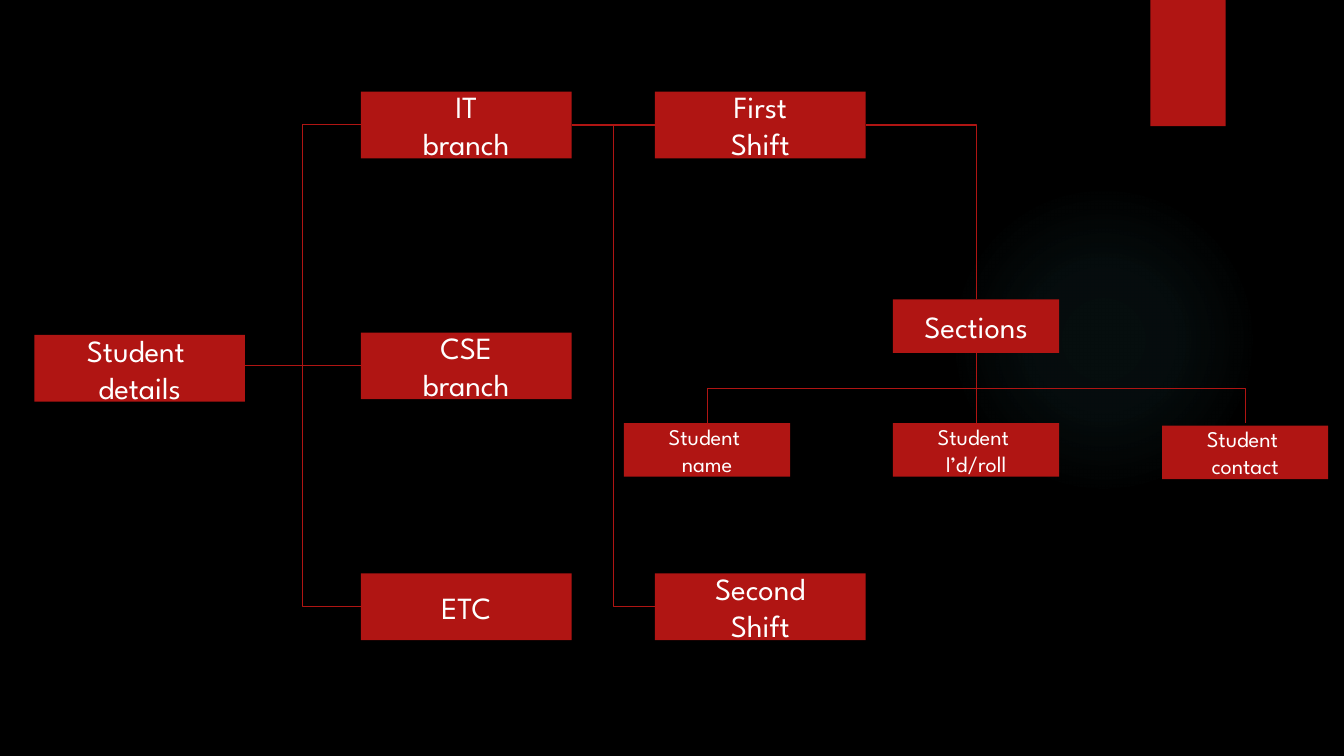
import pptx
import pptx.util
import pptx.dml.color
import pptx.enum.shapes
import pptx.enum.text
import pptx.oxml
import pptx.oxml.ns

Cm = pptx.util.Cm
Shapes = pptx.enum.shapes.MSO_SHAPE
Joint = pptx.enum.shapes.MSO_CONNECTOR

# Theme
THEME = {
    "ground": "000000", "red": "B01513", "text": "FFFFFF", "glow": "50B9C1",
    "font": "League Spartan", "large": 22, "small": 16, "line": 0.75,
}

# Content: box sizes, and centres of columns and rows, in cm
BRANCH_SIZE, FIELD_SIZE = (5.31, 1.68), (4.19, 1.35)
ROOT_X, BRANCH_X, SHIFT_X, SECTION_X = 3.52, 11.75, 19.16, 24.6
TOP_Y, MIDDLE_Y, BOTTOM_Y = 3.15, 9.22, 15.29
SECTION_Y, FIELD_Y, FIELD_PITCH = 8.22, 11.34, 6.78

BOXES = {  # name: (lines, centre, size, type size)
    "root": (["Student ", "details"], (ROOT_X, 9.28), BRANCH_SIZE, "large"),
    "it": (["IT", "branch"], (BRANCH_X, TOP_Y), BRANCH_SIZE, "large"),
    "cse": (["CSE", "branch"], (BRANCH_X, MIDDLE_Y), BRANCH_SIZE, "large"),
    "etc": (["ETC"], (BRANCH_X, BOTTOM_Y), BRANCH_SIZE, "large"),
    "first": (["First", "Shift"], (SHIFT_X, TOP_Y), BRANCH_SIZE, "large"),
    "second": (["Second", "Shift"], (SHIFT_X, BOTTOM_Y), BRANCH_SIZE, "large"),
    "sections": (["Sections"], (SECTION_X, SECTION_Y), FIELD_SIZE, "large"),
    "name": (["Student ", "name"], (SECTION_X - FIELD_PITCH, FIELD_Y), FIELD_SIZE, "small"),
    "roll": (["Student ", "I’d/roll"], (SECTION_X, FIELD_Y), FIELD_SIZE, "small"),
    "contact": (["Student ", "contact"], (SECTION_X + FIELD_PITCH, FIELD_Y + 0.06),
                FIELD_SIZE, "small"),
}
ACROSS = [("root", "it"), ("root", "etc"), ("root", "cse"), ("it", "second"), ("it", "first")]
DOWN = ["name", "contact", "roll"]
GLOW_STOPS = [(0, 7), (36, 6), (69, 0)]  # position and opacity in percent


def colour(key):
    return pptx.dml.color.RGBColor.from_string(THEME[key])


def apply(target, values):
    for key, value in values.items():
        setattr(target, key, value)


def add_block(kind, left, top, width, height):
    block = page.shapes.add_shape(kind, Cm(left), Cm(top), Cm(width), Cm(height))
    block.shadow.inherit = False
    block.line.fill.background()
    block.fill.solid()
    block.fill.fore_color.rgb = colour("red")
    return block


def add_box(lines, centre, size, type_size):
    (x, y), (width, height) = centre, size
    box = add_block(Shapes.RECTANGLE, x - width / 2, y - height / 2, width, height)
    apply(box.text_frame, {"word_wrap": True,
                           "vertical_anchor": pptx.enum.text.MSO_ANCHOR.MIDDLE})
    for index, line in enumerate(lines):
        para = box.text_frame.paragraphs[0] if index == 0 else box.text_frame.add_paragraph()
        para.alignment = pptx.enum.text.PP_ALIGN.CENTER
        span = para.add_run()
        span.text = line
        apply(span.font, {"name": THEME["font"], "size": pptx.util.Pt(THEME[type_size])})
        span.font.color.rgb = colour("text")


def add_link(start, end):
    kind = Joint.STRAIGHT if start[0] == end[0] or start[1] == end[1] else Joint.ELBOW
    link = page.shapes.add_connector(kind, *(Cm(value) for value in (*start, *end)))
    link.line.color.rgb = colour("red")
    link.line.width = pptx.util.Pt(THEME["line"])
    link._element.spPr.append(pptx.oxml.parse_xml(
        f"<a:effectLst {pptx.oxml.ns.nsdecls('a')}/>"))
    return link


def add_drop(start, end):
    """Link that leaves downwards: an elbow turned a quarter about its centre."""
    link = add_link(start, end)
    if start[0] == end[0]:
        return
    (x1, y1), (x2, y2) = start, end
    width, height = y2 - y1, abs(x2 - x1)
    apply(link, {"left": Cm((x1 + x2 - width) / 2), "top": Cm((y1 + y2 - height) / 2),
                 "width": Cm(width), "height": Cm(height)})
    frame = link._element.spPr.find(pptx.oxml.ns.qn("a:xfrm"))
    to_right = x2 > x1
    for key, value in {"rot": 16200000 if to_right else 5400000,
                       "flipH": int(to_right), "flipV": 0}.items():
        frame.set(key, str(value))


def side(name, across, down):
    """Point on a box, as steps of half its size from the centre."""
    _, (x, y), (width, height), _ = BOXES[name]
    return x + across * width / 2, y + down * height / 2


# Page and background
deck = pptx.Presentation()
apply(deck, {"slide_width": Cm(33.87), "slide_height": Cm(19.05)})
page = deck.slides.add_slide(deck.slide_layouts[6])
page.background.fill.solid()
page.background.fill.fore_color.rgb = colour("ground")

# Glow and corner tab
glow = add_block(Shapes.OVAL, 23.9, 4.65, 7.82, 7.82)
stops = "".join(
    f'<a:gs pos="{place * 1000}"><a:srgbClr val="{THEME["glow"]}">'
    f'<a:alpha val="{opacity * 1000}"/></a:srgbClr></a:gs>' for place, opacity in GLOW_STOPS)
solid = glow._element.spPr.find(pptx.oxml.ns.qn("a:solidFill"))
glow._element.spPr.replace(solid, pptx.oxml.parse_xml(
    f'<a:gradFill {pptx.oxml.ns.nsdecls("a")}><a:gsLst>{stops}</a:gsLst><a:path path="circle">'
    '<a:fillToRect l="50000" t="50000" r="50000" b="50000"/></a:path></a:gradFill>'))
add_block(Shapes.RECTANGLE, 28.99, 0, 1.9, 3.18)

# Boxes
for entry in BOXES.values():
    add_box(*entry)

# Links between columns, level with the rows
for source, target in ACROSS:
    row = MIDDLE_Y if source == "root" else TOP_Y
    add_link((side(source, 1, 0)[0], row), side(target, -1, 0))

# Single-bend link from the first shift to its sections
bend = add_link(side("first", 1, 0), side("sections", 0, -1))
bend._element.spPr.find(pptx.oxml.ns.qn("a:prstGeom")).set("prst", "bentConnector2")

# Links from the sections down to the student fields
for field in DOWN:
    add_drop(side("sections", 0, 1), (side(field, 0, -1)[0], FIELD_Y - FIELD_SIZE[1] / 2))

deck.save("out.pptx")
